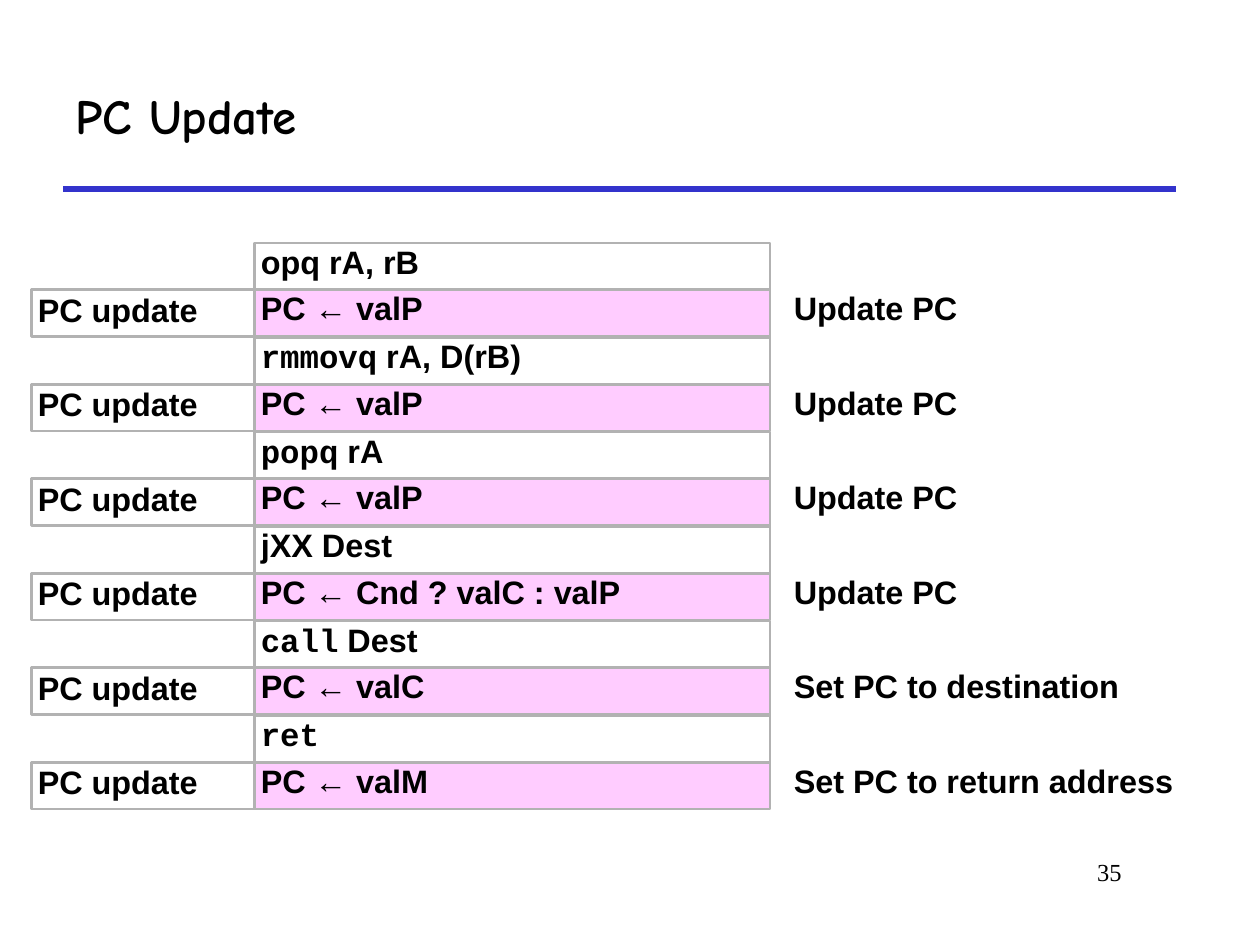
from lxml.etree import SubElement
from pptx import Presentation
from pptx.dml.color import RGBColor
from pptx.enum.shapes import MSO_CONNECTOR, MSO_SHAPE
from pptx.enum.text import MSO_ANCHOR as Anchor, PP_ALIGN as Align
from pptx.oxml.ns import qn
from pptx.util import Inches, Pt

BLACK = RGBColor(0x00, 0x00, 0x00)
BLUE = RGBColor(0x33, 0x33, 0xCC)
GRAY = RGBColor(0xB2, 0xB2, 0xB2)
PINK = RGBColor(0xFF, 0xCC, 0xFF)

STAGE_LEFT, STAGE_WIDTH = 0.25, 1.77
CODE_LEFT, CODE_WIDTH = 2.02, 4.09
NOTE_LEFT, NOTE_WIDTH = 6.25, 3.58
TOP, PITCH, ROW = 1.93, 0.75, 0.37

INSTRUCTIONS = [
    ("", "opq rA, rB", "PC ← valP", "Update PC"),
    ("rmmovq", " rA, D(rB)", "PC ← valP", "Update PC"),
    ("popq", " rA", "PC ← valP", "Update PC"),
    ("", "jXX Dest", "PC ← Cnd ? valC : valP", "Update PC"),
    ("call", " Dest", "PC ← valC", "Set PC to destination"),
    ("ret", "", "PC ← valM", "Set PC to return address"),
]

deck = Presentation()
deck.slide_width, deck.slide_height = Inches(10), Inches(7.5)
page = deck.slides.add_slide(deck.slide_layouts[6])


def write(box, pieces, size, bold=True, anchor=Anchor.TOP, align=Align.LEFT):
    frame = box.text_frame
    frame.word_wrap = True
    frame.vertical_anchor = anchor
    para = frame.paragraphs[0]
    para.alignment = align
    for text, font in pieces:
        if text:
            span = para.add_run()
            span.text = text
            span.font.name = font
            span.font.size = Pt(size)
            span.font.bold = bold
            span.font.color.rgb = BLACK


def add_cell(left, top, width, pieces, fill=None, border=True, anchor=Anchor.TOP):
    place = Inches(left), Inches(top), Inches(width), Inches(ROW)
    if border:
        box = page.shapes.add_shape(MSO_SHAPE.RECTANGLE, *place)
        box.shadow.inherit = False
        box.line.color.rgb = GRAY
        box.line.width = Pt(1.5)
    else:
        box = page.shapes.add_textbox(*place)
    if fill:
        box.fill.solid()
        box.fill.fore_color.rgb = fill
    else:
        box.fill.background()
    frame = box.text_frame
    frame.margin_left = frame.margin_right = Inches(0.05)
    frame.margin_top = frame.margin_bottom = Inches(0.05)
    write(box, pieces, 18.5, anchor=anchor)
    frame.paragraphs[0].line_spacing = 0.8


rule = page.shapes.add_connector(
    MSO_CONNECTOR.STRAIGHT, Inches(0.5), Inches(1.5), Inches(9.33), Inches(1.5))
rule.line.color.rgb = BLUE
rule.line.width = Pt(3)
SubElement(rule._element.spPr, qn("a:effectLst"))

number = page.shapes.add_textbox(Inches(7.58), Inches(6.75), Inches(1.42), Inches(0.5))
write(number, [("35", "Times New Roman")], 14, bold=False, align=Align.RIGHT)

title = page.shapes.add_textbox(Inches(0.5), Inches(0.5), Inches(8.83), Inches(0.83))
write(title, [("PC Update", "Comic Neue")], 28, anchor=Anchor.MIDDLE)

for index, (mnemonic, operands, action, note) in enumerate(INSTRUCTIONS):
    top = TOP + index * PITCH
    add_cell(CODE_LEFT, top, CODE_WIDTH, [(mnemonic, "Courier New"), (operands, "Arial")])

for index, (mnemonic, operands, action, note) in enumerate(INSTRUCTIONS):
    top = TOP + index * PITCH + ROW
    add_cell(CODE_LEFT, top, CODE_WIDTH, [(action, "Arial")], fill=PINK)
    add_cell(STAGE_LEFT, top, STAGE_WIDTH, [("PC update", "Arial")], anchor=Anchor.MIDDLE)
    add_cell(NOTE_LEFT, top, NOTE_WIDTH, [(note, "Arial")], border=False)

deck.save("out.pptx")
